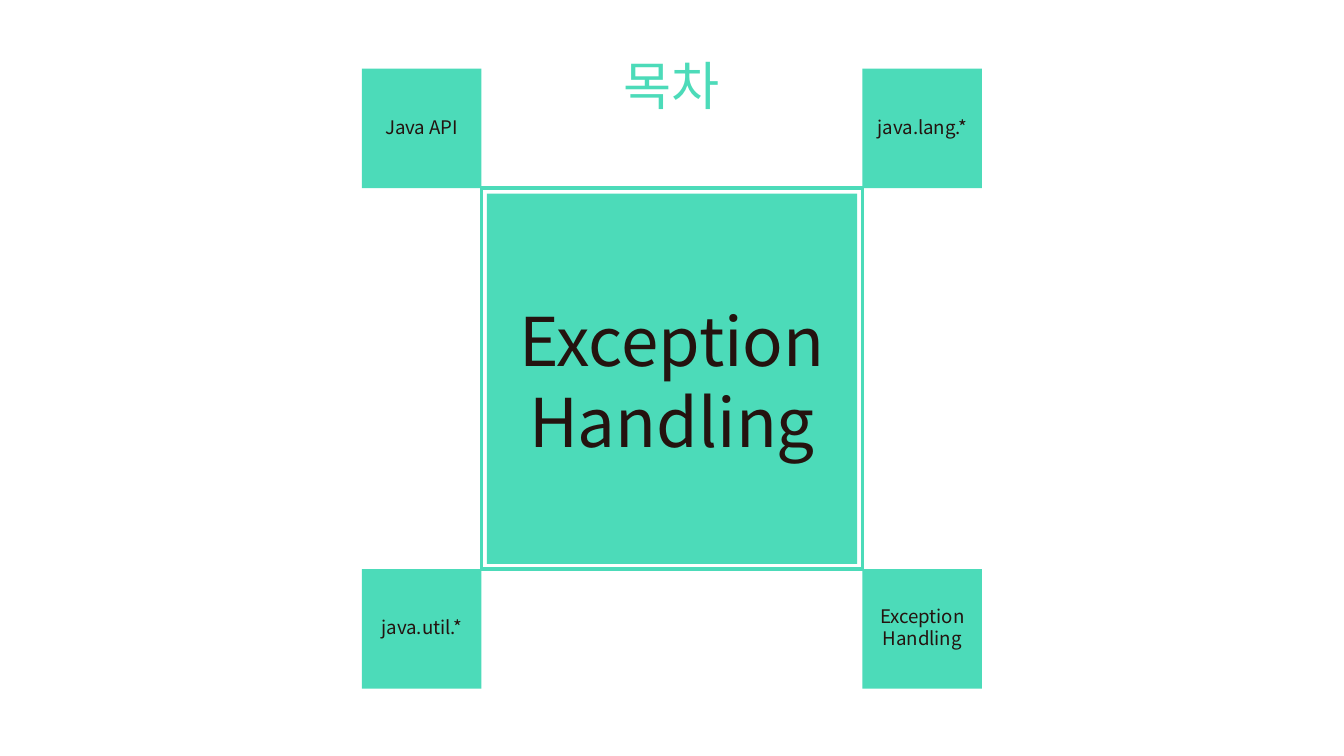
from pptx import Presentation
from pptx.dml.color import RGBColor
from pptx.enum.shapes import MSO_SHAPE
from pptx.enum.text import MSO_AUTO_SIZE, PP_ALIGN
from pptx.oxml.ns import qn
from pptx.util import Cm, Pt
from lxml import etree

RECTANGLE = MSO_SHAPE.RECTANGLE
CENTER = PP_ALIGN.CENTER
GROW = MSO_AUTO_SIZE.SHAPE_TO_FIT_TEXT
MINT, INK = "4CDBB9", "24130F"
FONT = "Noto Sans CJK KR"


def color(hex_value):
    return RGBColor.from_string(hex_value)


def write(frame, text, size=10, fill=INK, align=CENTER, wrap=True):
    frame.word_wrap = wrap
    frame.auto_size = GROW
    for index, line in enumerate(text.split("\n")):
        paragraph = frame.add_paragraph() if index else frame.paragraphs[0]
        paragraph.alignment = align
        run = paragraph.add_run()
        run.text = line
        run.font.size = Pt(size)
        run.font.name = FONT
        run.font.color.rgb = color(fill)
        # Hangul takes its typeface from the East Asian font
        etree.SubElement(run.font._element, qn("a:ea"), typeface=FONT)


class Board:
    def __init__(self, slide, accent):
        self.slide = slide
        self.accent = accent

    def square(self, left, top, side, outline=None):
        box = self.slide.shapes.add_shape(
            RECTANGLE, Cm(left), Cm(top), Cm(side), Cm(side))
        box.shadow.inherit = False
        if outline:
            box.fill.background()
            box.line.color.rgb = color(self.accent)
            box.line.width = Pt(outline)
        else:
            box.fill.solid()
            box.fill.fore_color.rgb = color(self.accent)
            box.line.fill.background()

    def label(self, text, left, top, width, height, **text_format):
        box = self.slide.shapes.add_textbox(
            Cm(left), Cm(top), Cm(width), Cm(height))
        write(box.text_frame, text, **text_format)


deck = Presentation()
deck.slide_width, deck.slide_height = Cm(25.4), Cm(14.29)
board = Board(deck.slides.add_slide(deck.slide_layouts[6]), MINT)

# Current chapter: filled square inside a frame
FRAME_LEFT, FRAME_TOP, FRAME_SIDE, GAP = 9.1, 3.56, 7.2, 0.1
board.square(FRAME_LEFT + GAP, FRAME_TOP + GAP, FRAME_SIDE - 2 * GAP)
board.square(FRAME_LEFT, FRAME_TOP, FRAME_SIDE, outline=2)
board.label("Exception Handling", FRAME_LEFT, 5.54, FRAME_SIDE, 3.33, size=36)

# Heading
board.label("목차", 11.53, 0.89, 2.34, 1.45, size=28, fill=MINT, wrap=False)

# Chapters: one square touching each corner of the frame
TILE = 2.26
LEFT, RIGHT = FRAME_LEFT - TILE, FRAME_LEFT + FRAME_SIDE
TOP, BOTTOM = FRAME_TOP - TILE, FRAME_TOP + FRAME_SIDE
chapters = [
    ("Java API", LEFT, TOP),
    ("java.lang.*", RIGHT, TOP),
    ("java.util.*", LEFT, BOTTOM),
    ("Exception\nHandling", RIGHT, BOTTOM),
]
for chapter, left, top in chapters:
    height = 0.68 + 0.43 * chapter.count("\n")
    board.square(left, top, TILE)
    board.label(chapter, left, top + (TILE - height) / 2 - 0.03, TILE, height)

deck.save("out.pptx")
